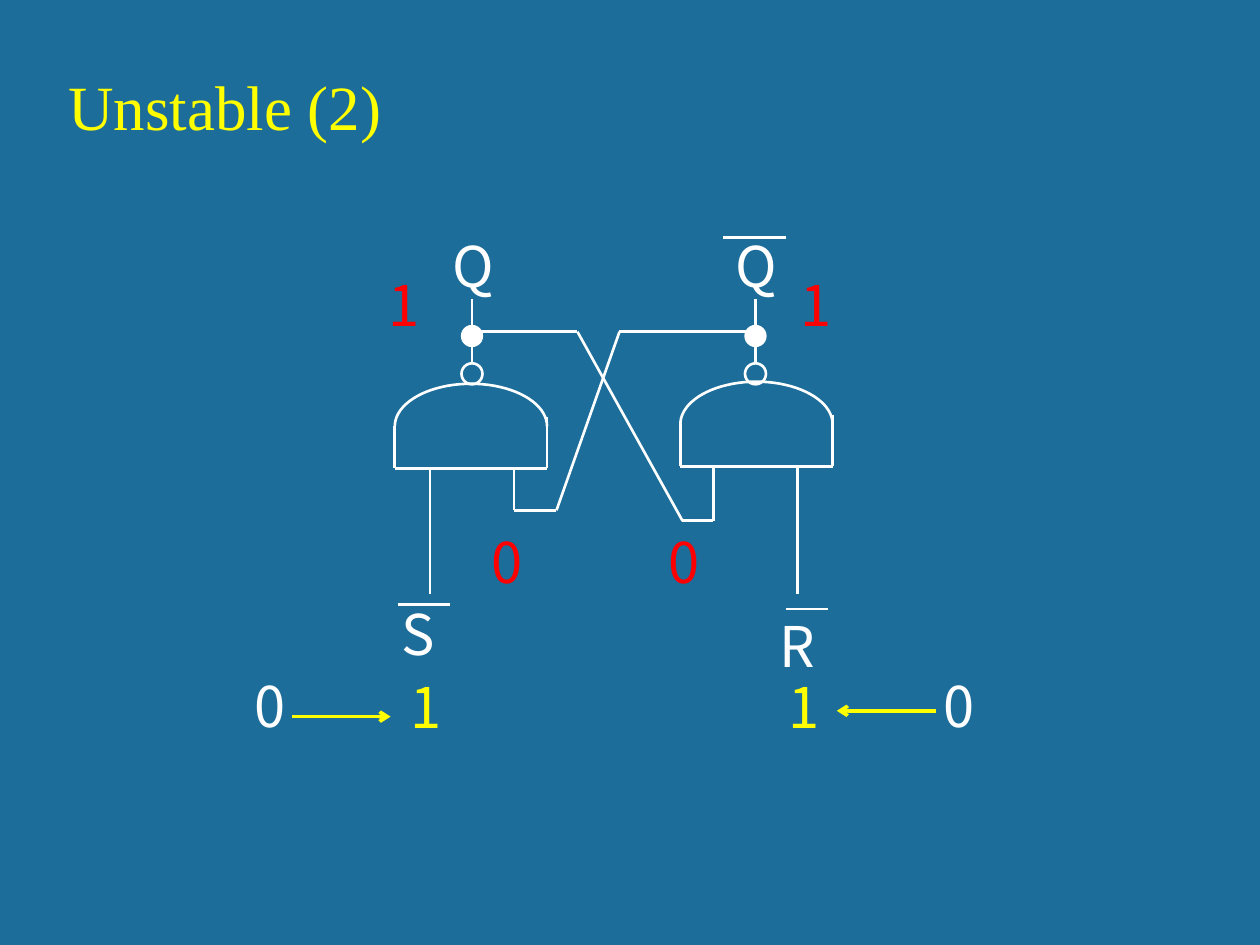
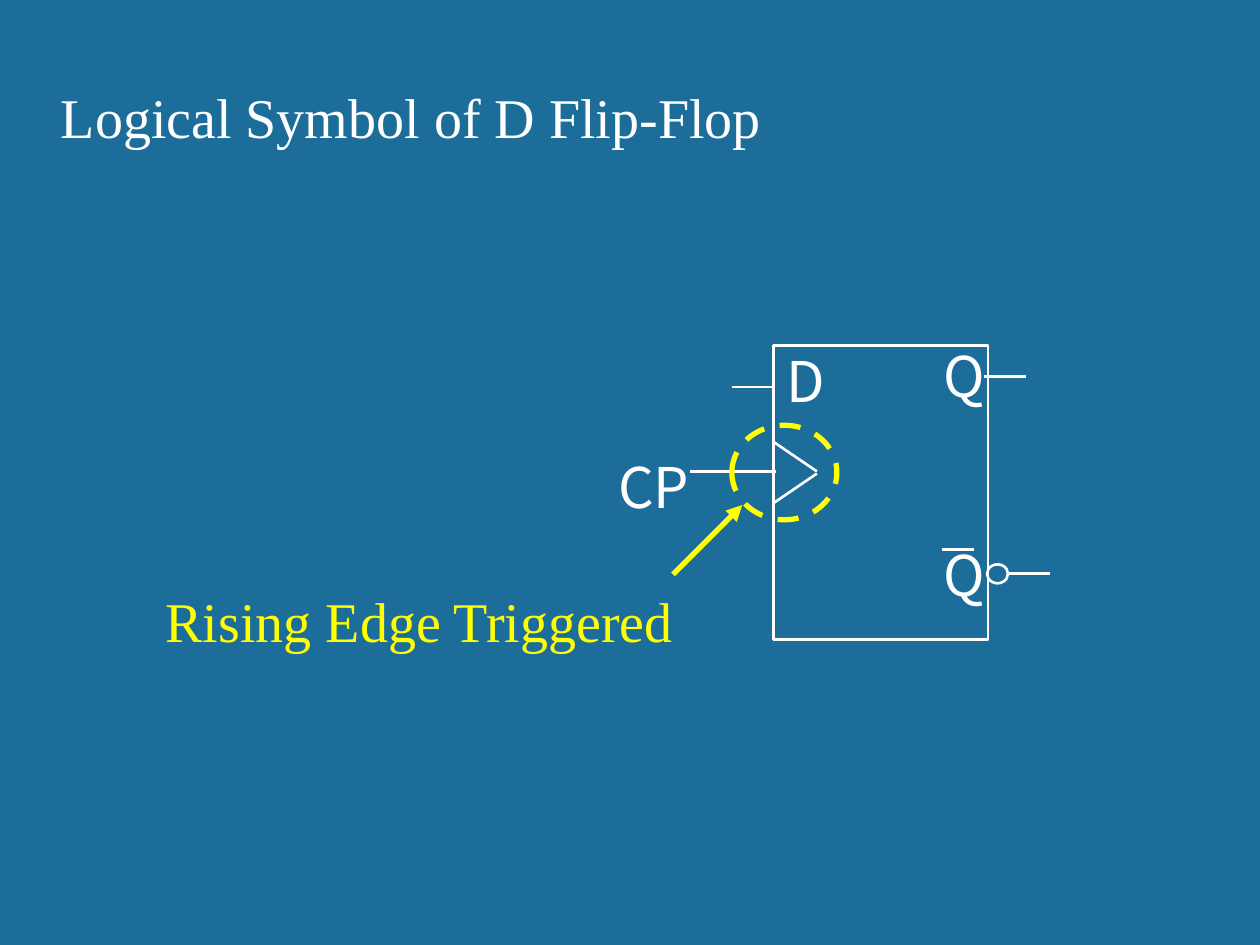
import math
from dataclasses import dataclass
from itertools import pairwise

import pptx
import pptx.util
from lxml import etree
from pptx.dml.color import RGBColor
from pptx.enum.dml import MSO_LINE
from pptx.enum.shapes import MSO_CONNECTOR, MSO_SHAPE
from pptx.enum.text import MSO_ANCHOR, MSO_AUTO_SIZE, PP_ALIGN
from pptx.oxml.ns import qn

BACKGROUND = RGBColor(0x1C, 0x6D, 0x9A)
WHITE = RGBColor(0xFF, 0xFF, 0xFF)
YELLOW = RGBColor(0xFF, 0xFF, 0x00)
RED = RGBColor(0xFF, 0x00, 0x00)
SYMBOL_FONT = "Noto Sans CJK SC"
PROSE_FONT = "Times New Roman"

# The slide is a grid of 120 columns by 90 rows; all lengths below are in cells.
COLUMNS, ROWS = 120, 90
CELL = pptx.util.Inches(10) // COLUMNS
WIRE_WIDTH = 1.5
BUBBLE = 2

Point = tuple[float, float]


@dataclass(frozen=True)
class Label:
    text: str
    left: float
    top: float
    color: RGBColor = WHITE
    width: float = 5
    height: float = 7.6
    font: str = SYMBOL_FONT
    wrap: bool = False


@dataclass(frozen=True)
class Gate:
    """A NAND gate seen from below, with its output at the top."""
    left: float
    base: float
    output: float
    width: float = 14.5
    dome_rise: float = 4.05
    height: float = 8.05


def cells(*counts: float) -> list[int]:
    return [round(count * CELL) for count in counts]


def write(shape, text: str, *, font: str = PROSE_FONT, size: float = 32,
          color: RGBColor = WHITE, wrap: bool = True, anchor=MSO_ANCHOR.TOP) -> None:
    frame = shape.text_frame
    frame.text = text
    frame.word_wrap = wrap
    frame.auto_size = MSO_AUTO_SIZE.SHAPE_TO_FIT_TEXT
    frame.vertical_anchor = anchor
    paragraph = frame.paragraphs[0]
    paragraph.alignment = PP_ALIGN.LEFT
    run_font = paragraph.runs[0].font
    run_font.name = font
    run_font.size = pptx.util.Pt(size)
    run_font.color.rgb = color


def add_titled_slide(prs, text: str, left: float, top: float, width: float,
                     height: float, **text_format):
    slide = prs.slides.add_slide(prs.slide_layouts[5])
    title = slide.shapes.title
    title.left, title.top, title.width, title.height = cells(left, top, width, height)
    write(title, text, **text_format)
    return slide


def add_labels(slide, labels: list[Label]) -> None:
    for label in labels:
        box = slide.shapes.add_textbox(
            *cells(label.left, label.top, label.width, label.height))
        write(box, label.text, font=label.font, color=label.color, wrap=label.wrap)


def add_wire(slide, *points: Point, color: RGBColor = WHITE,
             width: float = WIRE_WIDTH, arrowhead: str = "") -> None:
    """Join the points with straight lines; an arrowhead ends each line."""
    for start, end in pairwise(points):
        wire = slide.shapes.add_connector(MSO_CONNECTOR.STRAIGHT, *cells(*start, *end))
        wire.line.color.rgb = color
        wire.line.width = pptx.util.Pt(width)
        properties = wire._element.spPr
        etree.SubElement(properties, qn("a:effectLst"))
        if arrowhead:
            etree.SubElement(properties.find(qn("a:ln")), qn("a:tailEnd"), type=arrowhead)


def style_outline(shape, color: RGBColor = WHITE, width: float = WIRE_WIDTH) -> None:
    shape.shadow.inherit = False
    shape.fill.background()
    shape.line.color.rgb = color
    shape.line.width = pptx.util.Pt(width)


def add_outline(slide, preset, left: float, top: float, width: float, height: float,
                color: RGBColor = WHITE, line_width: float = WIRE_WIDTH):
    shape = slide.shapes.add_shape(preset, *cells(left, top, width, height))
    style_outline(shape, color, line_width)
    return shape


def add_gate(slide, gate: Gate) -> None:
    radius = gate.width / 2
    right = gate.left + gate.width
    spring = gate.base - gate.height + gate.dome_rise
    angles = [math.pi * (1 - step / 40) for step in range(41)]
    arc = [tuple(cells(gate.left + radius * (1 + math.cos(angle)),
                       spring - gate.dome_rise * math.sin(angle)))
           for angle in angles]
    builder = slide.shapes.build_freeform(*arc[0])
    builder.add_line_segments(arc[1:], close=False)
    style_outline(builder.convert_to_shape())
    add_wire(slide, (gate.left, spring), (gate.left, gate.base),
             (right, gate.base), (right, gate.base - 4.9))


def add_output(slide, center: float) -> None:
    """Draw the inversion bubble, the stem and the junction above a gate."""
    left = center - BUBBLE / 2
    add_outline(slide, MSO_SHAPE.OVAL, left, 34.6, BUBBLE, BUBBLE)
    add_wire(slide, (center, 34.6), (center, 28.5))
    junction = add_outline(slide, MSO_SHAPE.OVAL, left, 31, BUBBLE, BUBBLE,
                           line_width=0.75)
    junction.fill.solid()
    junction.fill.fore_color.rgb = WHITE


def build_unstable_latch(prs) -> None:
    slide = add_titled_slide(prs, "Unstable (2)", 5.3, 5.8, 34, 8.5,
                             size=36, color=YELLOW, wrap=False)
    set_gate = Gate(left=37.6, base=44.6, output=44.95)
    reset_gate = Gate(left=64.8, base=44.4, output=71.95)
    for gate in (set_gate, reset_gate):
        add_output(slide, gate.output)
        add_gate(slide, gate)

    feedback_row = 31.6
    add_wire(slide, (set_gate.output, feedback_row), (55, feedback_row),
             (65, 49.6), (67.95, 49.6), (67.95, reset_gate.base))
    add_wire(slide, (reset_gate.output, feedback_row), (59, feedback_row),
             (53, 48.6), (48.95, 48.6), (48.95, set_gate.base))
    for input_column in (40.95, 75.95):
        add_wire(slide, (input_column, 44.6), (input_column, 56.6))

    for left, right, row in ((68.9, 74.9, 22.6), (37.9, 42.9, 57.6), (74.9, 78.9, 58)):
        add_wire(slide, (left, row), (right, row))

    add_labels(slide, [
        Label("Q", 41.9, 21.5), Label("Q", 68.9, 21.5),
        Label("S", 37.1, 56.5), Label("R", 73.1, 57.6),
        Label("1", 37.9, 63.5, YELLOW), Label("0", 23.1, 63.4),
        Label("1", 73.9, 63.5, YELLOW), Label("0", 88.7, 63.4),
        Label("0", 45.6, 49.6, RED), Label("0", 62.5, 49.6, RED),
        Label("1", 35.8, 25.2, RED), Label("1", 75.1, 25.2, RED),
    ])
    for start, end, row in ((27.8, 37.2, 68.25), (89.1, 79.7, 67.7)):
        add_wire(slide, (start, row), (end, row), color=YELLOW, width=2,
                 arrowhead="arrow")


def build_flip_flop_symbol(prs) -> None:
    slide = add_titled_slide(prs, "Logical Symbol of D Flip-Flop", 4.6, 7.2, 115, 7.7,
                             anchor=MSO_ANCHOR.BOTTOM)
    body_left, body_width, clock_row = 73.7, 20.4, 44.9
    add_outline(slide, MSO_SHAPE.RECTANGLE, body_left, 32.9, body_width, 28)
    for edge_row, tip_row in ((42.1, clock_row), (47.9, 45.1)):
        add_wire(slide, (body_left, edge_row), (77.8, tip_row))

    pins_and_bar = (
        (69.7, body_left, 36.85), (65.7, 73.9, clock_row),
        (93.75, 97.75, 35.85), (96, 100, 54.6), (89.75, 92.75, 52.35),
    )
    for left, right, row in pins_and_bar:
        add_wire(slide, (left, row), (right, row))
    add_outline(slide, MSO_SHAPE.OVAL, 94, 53.75, BUBBLE, 1.8)

    edge_marker = add_outline(slide, MSO_SHAPE.OVAL, 69.7, 40.5, 10, 9, YELLOW, 3)
    edge_marker.line.dash_style = MSO_LINE.DASH
    add_wire(slide, (64.1, 54.7), (70.7, 48.1), color=YELLOW, width=3,
             arrowhead="triangle")
    add_labels(slide, [
        Label("D", body_left, 32.4), Label("Q", 88.7, 31.9), Label("Q", 88.7, 50.9),
        Label("CP", 57.7, 42.5, width=12.2, wrap=True),
        Label("Rising Edge Triggered", 14.6, 55.3, YELLOW, width=55.8, height=7.7,
              font=PROSE_FONT, wrap=True),
    ])


def main() -> None:
    prs = pptx.Presentation()
    prs.slide_width, prs.slide_height = cells(COLUMNS, ROWS)
    backdrop = prs.slide_master.background.fill
    backdrop.solid()
    backdrop.fore_color.rgb = BACKGROUND
    build_unstable_latch(prs)
    build_flip_flop_symbol(prs)
    prs.save("out.pptx")


if __name__ == "__main__":
    main()
